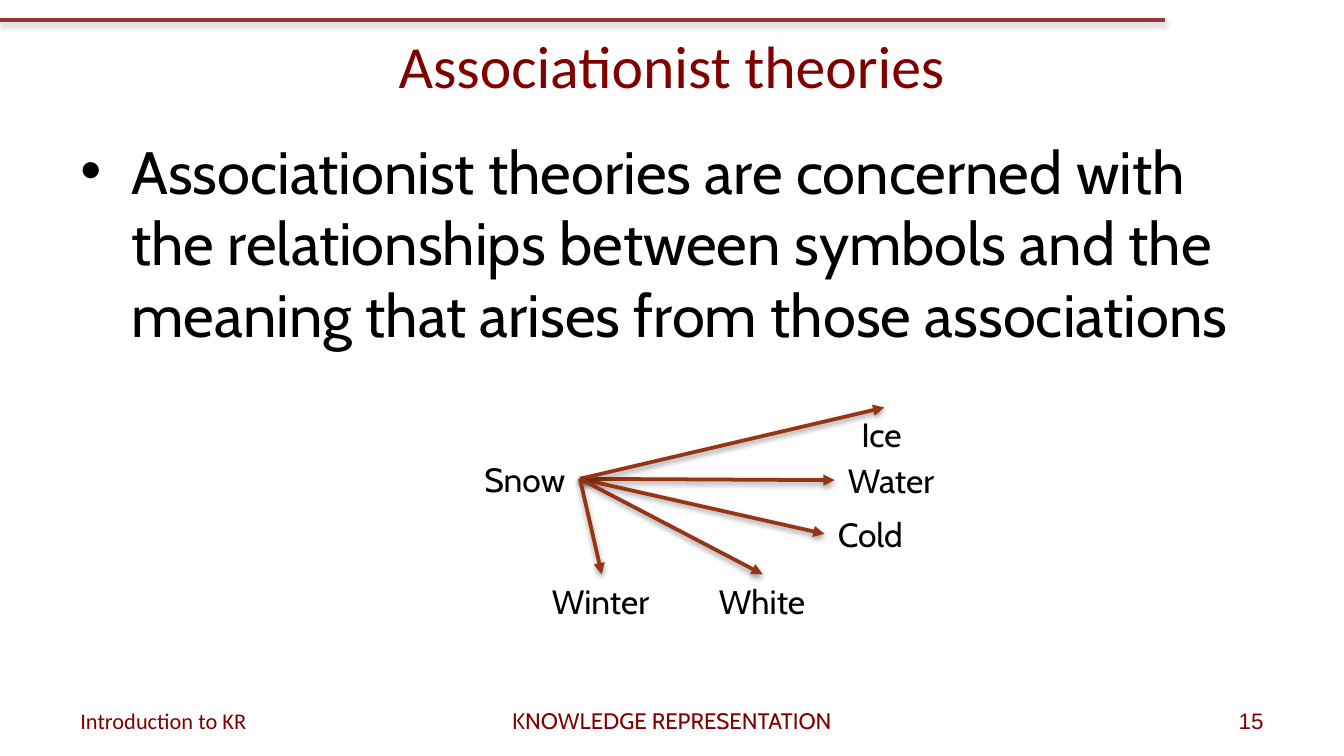
from lxml.etree import SubElement as Sub
from pptx import Presentation
from pptx.dml.color import RGBColor as Rgb
from pptx.enum.shapes import MSO_CONNECTOR as Link
from pptx.enum.text import MSO_ANCHOR as Anchor, MSO_AUTO_SIZE as Fit, PP_ALIGN as Align
from pptx.oxml.ns import qn
from pptx.util import Inches, Pt

HUES = {"rule": "953735", "arrow": "963513", "head": "800000",
        "text": "000000", "shade": "808080"}
TOP, LEFT, RIGHT = 0, 1, 3


def part(box, x, y, w, h):
    left, top, wide, high = box
    return (int(left + wide * x / 100), int(top + high * y / 100),
            int(wide * w / 100), int(high * h / 100))


def write(shape, text, size, font, hue, align=Align.LEFT, anchor=Anchor.TOP):
    frame = shape.text_frame
    frame.text = text
    frame.word_wrap = True
    frame.auto_size = Fit.NONE
    frame.vertical_anchor = anchor
    para = frame.paragraphs[0]
    para.alignment = align
    face = para.runs[0].font
    face.size, face.name = Pt(size), font
    face.color.rgb = Rgb.from_string(HUES[hue])
    return frame


def draw_line(slide, hue, shade, ends=(0, 0, 0, 0)):
    line = slide.shapes.add_connector(Link.STRAIGHT, *ends)
    line.line.width = Pt(2)
    line.line.color.rgb = Rgb.from_string(HUES[hue])
    props = line._element.spPr
    cast = Sub(Sub(props, qn("a:effectLst")), qn("a:outerShdw"), blurRad="40000",
               dist="20000", dir="5400000", rotWithShape="0")
    tint = Sub(cast, qn("a:srgbClr"), val=HUES[shade])
    Sub(tint, qn("a:alpha"), val="38000")
    return line


def add_rule(slide, box):
    left, top, wide, _ = box
    draw_line(slide, "rule", "shade", (left, top, left + wide, top))


def add_title(slide, box):
    title = slide.shapes.title
    title.left, title.top, title.width, title.height = box
    write(title, "Associationist theories", 32, "Calibri", "head",
          Align.CENTER, Anchor.MIDDLE)


def add_body(slide, box):
    shape = slide.shapes.add_textbox(*box)
    frame = write(shape, "Associationist theories are concerned with the relationships "
                  "between symbols and the meaning that arises from those associations",
                  32, "Cabin", "text")
    props = frame.paragraphs[0]._p.get_or_add_pPr()
    props.set("marL", str(Inches(0.38)))
    props.set("indent", str(-Inches(0.38)))
    Sub(props, qn("a:buFont"), typeface="Arial")
    Sub(props, qn("a:buChar"), char="•")


def add_label(slide, box, text):
    label = slide.shapes.add_textbox(*box)
    frame = write(label, text, 18, "Cabin", "text")
    frame.word_wrap = False
    frame.auto_size = Fit.SHAPE_TO_FIT_TEXT
    return label


def add_web(slide, box):
    high = 24.39
    snow = add_label(slide, part(box, 0.14, 20.12, 22.5, high), "Snow")
    for text, x, y, wide, side in (
            ("Water", 75.28, 20.73, 23.89, LEFT),
            ("Cold", 73.2, 45.12, 19.17, LEFT),
            ("Ice", 78.06, 0, 15, TOP),
            ("White", 48.61, 75.61, 23.61, TOP),
            ("Winter", 14.1, 75.61, 26.11, TOP)):
        label = add_label(slide, part(box, x, y, wide, high), text)
        arrow = draw_line(slide, "arrow", "text")
        arrow.begin_connect(snow, RIGHT)
        arrow.end_connect(label, side)
        Sub(arrow.line._get_or_add_ln(), qn("a:tailEnd"), type="triangle")


def add_footer(slide, box):
    for text, x, wide, font, align in (
            ("Introduction to KR", 0, 25.93, "Calibri", Align.LEFT),
            ("KNOWLEDGE REPRESENTATION", 32.41, 35.19, "Cabin", Align.CENTER),
            ("15", 74.07, 25.93, "Arial", Align.RIGHT)):
        shape = slide.shapes.add_textbox(*part(box, x, 0, wide, 100))
        write(shape, text, 12, font, "head", align, Anchor.MIDDLE)


def main():
    deck = Presentation()
    deck.slide_width = Inches(10)
    deck.slide_height = deck.slide_width * 9 // 16
    page = (0, 0, deck.slide_width, deck.slide_height)
    slide = deck.slides.add_slide(deck.slide_layouts[5])
    add_rule(slide, part(page, 0, 2.67, 86.7, 0))
    add_title(slide, part(page, 5, 0.18, 90, 16.71))
    add_body(slide, part(page, 5, 16.89, 90, 31.29))
    add_web(slide, part(page, 35, 53.91, 36, 29.18))
    add_footer(slide, part(page, 5, 92.7, 90, 5.34))
    deck.save("out.pptx")


if __name__ == "__main__":
    main()
